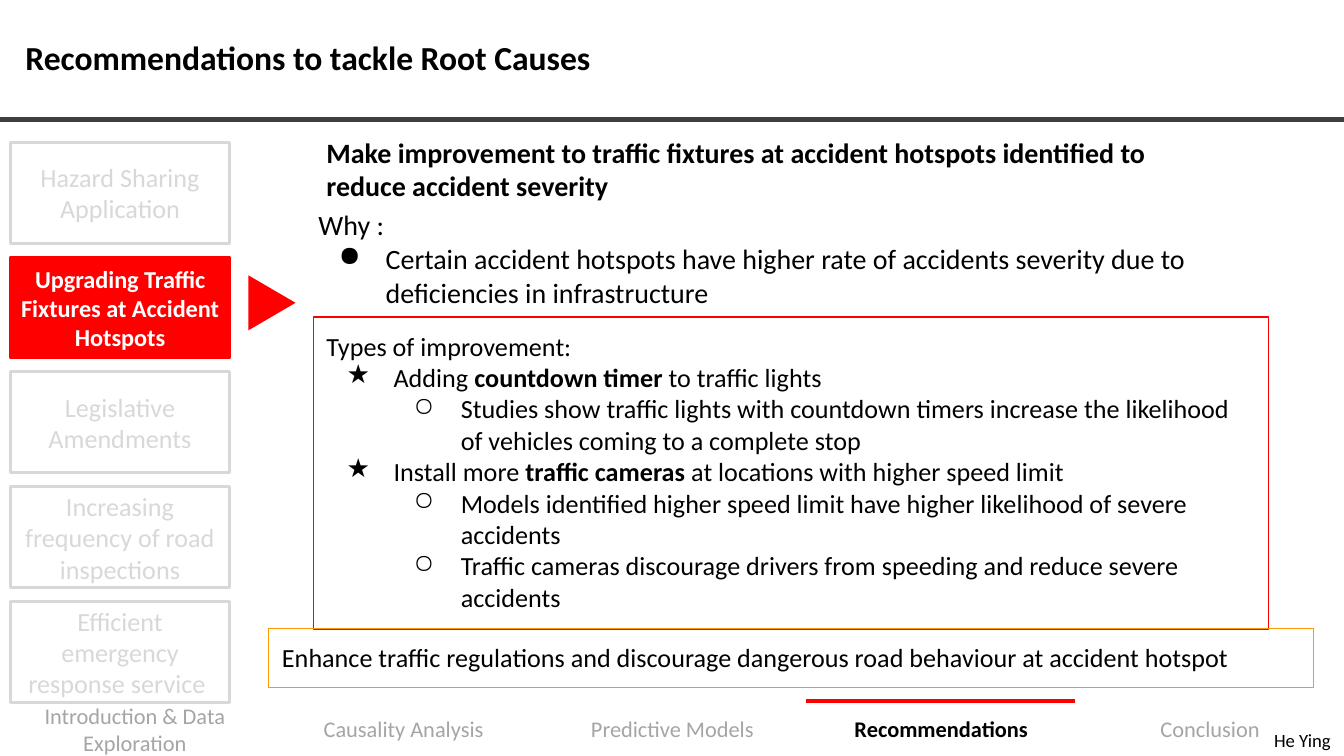
from dataclasses import dataclass

from lxml.etree import SubElement
from pptx import Presentation
from pptx.dml.color import RGBColor
from pptx.enum.shapes import MSO_CONNECTOR, MSO_SHAPE
from pptx.enum.text import MSO_ANCHOR, PP_ALIGN
from pptx.oxml.ns import qn
from pptx.util import Cm, Pt


@dataclass(frozen=True)
class Theme:
    font: str = "Calibri"
    black: str = "000000"
    white: str = "FFFFFF"
    red: str = "FF0000"
    orange: str = "FF9900"
    rule: str = "3F3F3E"
    pale: str = "D8D8D8"
    gray: str = "A5A5A5"
    title: int = 18
    lead: int = 15
    body: int = 14
    active: int = 13
    nav: int = 12
    small: int = 10


THEME = Theme()
TIGHT = (0.18, 0.1)
LOOSE = (0.25, 0.25)

TOPICS = [
    "Hazard Sharing Application",
    "Upgrading Traffic Fixtures at Accident Hotspots",
    "Legislative Amendments",
    "Increasing frequency of road inspections",
    "Efficient emergency response service ",
]
STEPS = [
    "Introduction & Data Exploration",
    "Causality Analysis",
    "Predictive Models",
    "Recommendations",
    "Conclusion",
]
# Each line is (bullet, level, text); text between asterisks is bold.
WHY = [
    ("", 0, "Why :"),
    ("●", 0, "Certain accident hotspots have higher rate of accidents severity "
             "due to deficiencies in infrastructure"),
]
TYPES = [
    ("", 0, "Types of improvement:"),
    ("★", 0, "Adding *countdown timer* to traffic lights"),
    ("○", 1, "Studies show traffic lights with countdown timers increase the "
             "likelihood of vehicles coming to a complete stop"),
    ("★", 0, "Install more *traffic cameras* at locations with higher speed limit"),
    ("○", 1, "Models identified higher speed limit have higher likelihood of "
             "severe accidents"),
    ("○", 1, "Traffic cameras discourage drivers from speeding and reduce "
             "severe accidents"),
]


def rgb(color):
    return RGBColor.from_string(color)


def style(run, size, color, bold):
    font = run.font
    font.name, font.size, font.bold = THEME.font, Pt(size), bold
    font.color.rgb = rgb(color)


def frame(shape, pad, anchor):
    text = shape.text_frame
    text.word_wrap = True
    text.vertical_anchor = anchor
    text.margin_left = text.margin_right = Cm(pad[0])
    text.margin_top = text.margin_bottom = Cm(pad[1])
    return text


def write(shape, words, size, color=THEME.black, bold=False,
          align=PP_ALIGN.LEFT, pad=LOOSE, anchor=MSO_ANCHOR.TOP):
    text = frame(shape, pad, anchor)
    text.text = words
    para = text.paragraphs[0]
    para.alignment = align
    style(para.runs[0], size, color, bold)


def bullet(para, mark, level):
    """Give the paragraph a hanging indent and a bullet sign."""
    para.level = level
    props = para._p.get_or_add_pPr()
    props.set("marL", str(Cm(1.27 * (level + 1))))
    props.set("indent", str(Cm(-0.89)))
    tint = SubElement(props, qn("a:buClr"))
    SubElement(tint, qn("a:srgbClr"), val=THEME.black)
    SubElement(props, qn("a:buChar"), char=mark)


def outline(shape, lines, size):
    """Fill the shape with bulleted lines."""
    text = frame(shape, LOOSE, MSO_ANCHOR.TOP)
    for i, (mark, level, words) in enumerate(lines):
        para = text.add_paragraph() if i else text.paragraphs[0]
        para.alignment = PP_ALIGN.LEFT
        if mark:
            bullet(para, mark, level)
        for j, part in enumerate(words.split("*")):
            run = para.add_run()
            run.text = part
            style(run, size, THEME.black, j % 2 == 1)


def label(slide, box, words, size, **look):
    shape = slide.shapes.add_textbox(*map(Cm, box))
    write(shape, words, size, **look)
    return shape


def panel(slide, box, fill=None, line=None, width=0.75, kind=MSO_SHAPE.RECTANGLE):
    shape = slide.shapes.add_shape(kind, *map(Cm, box))
    shape.shadow.inherit = False
    if fill:
        shape.fill.solid()
        shape.fill.fore_color.rgb = rgb(fill)
    else:
        shape.fill.background()
    if line:
        shape.line.color.rgb = rgb(line)
        shape.line.width = Pt(width)
    else:
        shape.line.fill.background()
    return shape


def rule(slide, left, right, top, color):
    line = slide.shapes.add_connector(
        MSO_CONNECTOR.STRAIGHT, Cm(left), Cm(top), Cm(right), Cm(top))
    line.line.color.rgb = rgb(color)
    line.line.width = Pt(2.25)
    SubElement(line._element.spPr, qn("a:effectLst"))


def footer(slide, current):
    step = 5.08
    for i, words in enumerate(STEPS):
        on = i == current
        label(slide, (i * step, 13.26, 5.1, 1.04), words, THEME.nav,
              color=THEME.black if on else THEME.gray, bold=on,
              align=PP_ALIGN.CENTER, pad=TIGHT, anchor=MSO_ANCHOR.MIDDLE)
    rule(slide, current * step, (current + 1) * step, 13.25, THEME.red)


def sidebar(slide, current):
    for i, words in enumerate(TOPICS):
        on = i == current
        fill = THEME.red if on else THEME.white
        card = panel(slide, (0.2, 2.69 + i * 2.17, 4.14, 1.91), fill,
                     THEME.red if on else THEME.pale, 1.5)
        write(card, words, THEME.active if on else THEME.body,
              THEME.white if on else THEME.pale, on,
              PP_ALIGN.CENTER, TIGHT, MSO_ANCHOR.MIDDLE)
    arrow = panel(slide, (4.62, 5.28, 1.04, 0.89), THEME.red,
                  kind=MSO_SHAPE.ISOSCELES_TRIANGLE)
    arrow.rotation = 90


def content(slide):
    label(slide, (5.92, 2.31, 16.54, 1.8),
          "Make improvement to traffic fixtures at accident hotspots "
          "identified to reduce accident severity", THEME.lead, bold=True)
    why = slide.shapes.add_textbox(Cm(5.77), Cm(3.68), Cm(18.06), Cm(2.44))
    outline(why, WHY, THEME.lead)
    types = panel(slide, (5.92, 5.99, 18.06, 5.9), line=THEME.red)
    outline(types, TYPES, THEME.body)
    goal = panel(slide, (5.08, 11.88, 19.74, 1.12), line=THEME.orange)
    write(goal, "Enhance traffic regulations and discourage dangerous road "
          "behaviour at accident hotspot", THEME.body)


def main():
    deck = Presentation()
    deck.slide_width, deck.slide_height = Cm(25.4), Cm(14.29)
    slide = deck.slides.add_slide(deck.slide_layouts[6])
    footer(slide, 3)
    rule(slide, 0, 25.4, 2.26, THEME.rule)
    title = label(slide, (0.3, 0.18, 19.74, 1.91),
                  "Recommendations to tackle Root Causes", THEME.title,
                  bold=True, pad=TIGHT, anchor=MSO_ANCHOR.MIDDLE)
    title.text_frame.paragraphs[0].line_spacing = 0.9
    sidebar(slide, 1)
    content(slide)
    label(slide, (22.78, 13.56, 2.62, 0.94), "He Ying", THEME.small,
          align=PP_ALIGN.RIGHT)
    deck.save("out.pptx")


if __name__ == "__main__":
    main()
